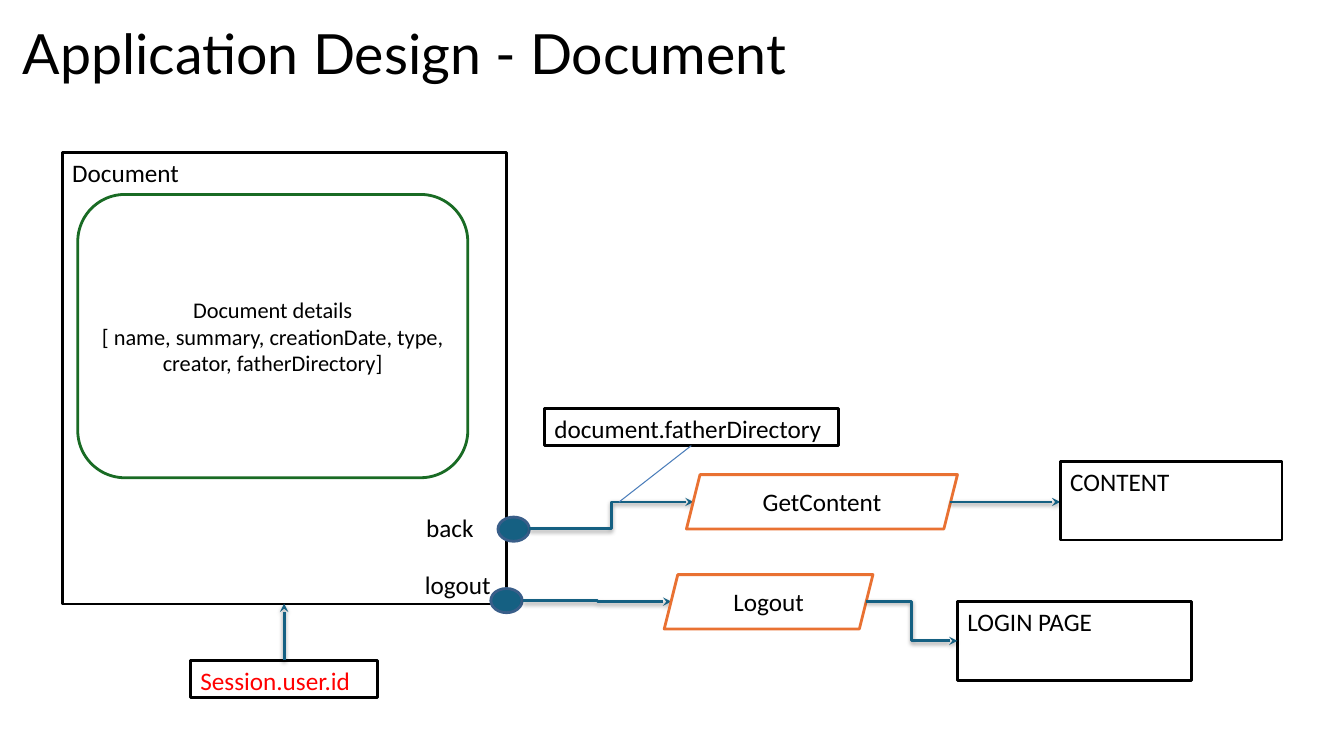
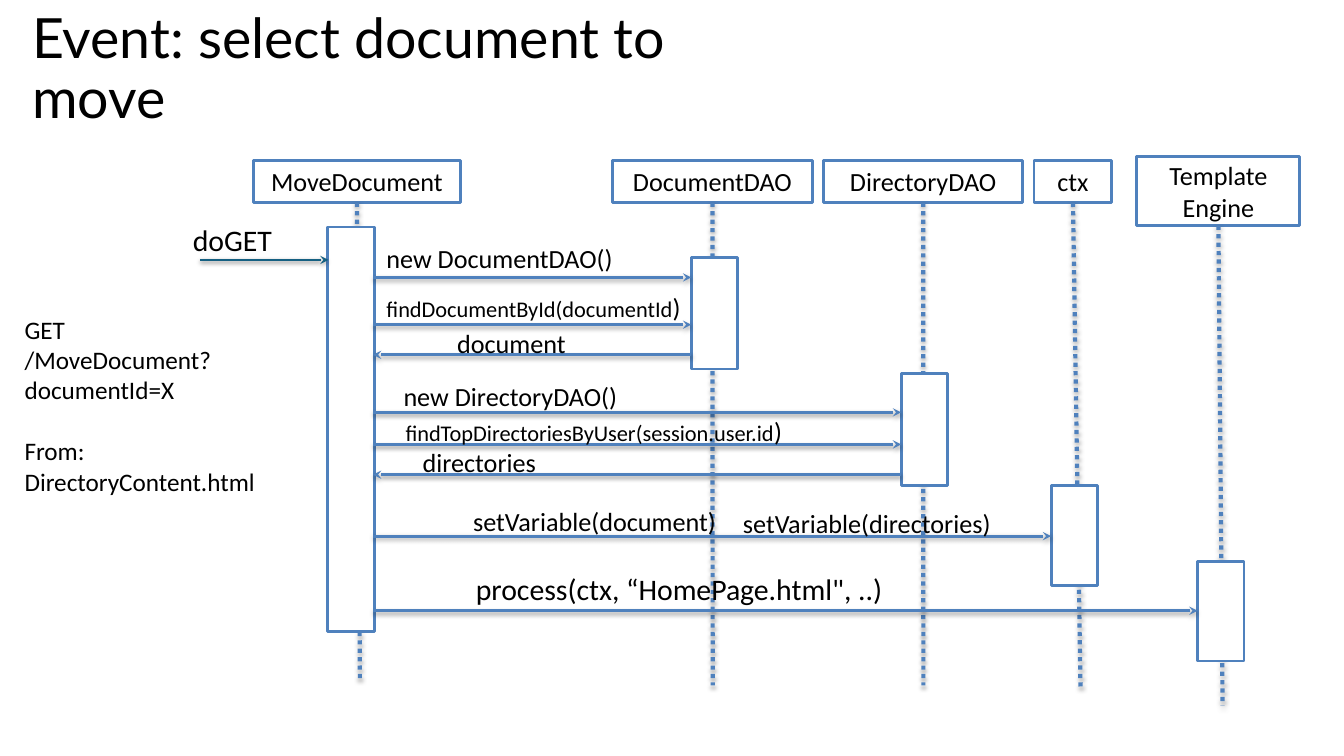
from lxml import etree
from pptx import Presentation, util as u
from pptx.dml.color import RGBColor
from pptx.enum import dml, shapes, text
from pptx.oxml.ns import qn

Cm, Pt = u.Cm, u.Pt
Kind, Join = shapes.MSO_SHAPE, shapes.MSO_CONNECTOR
Align, Anchor = text.PP_ALIGN, text.MSO_ANCHOR

HUES = {
    "black": "000000", "white": "FFFFFF", "red": "FF0000",
    "teal": "156082", "navy": "395E89", "green": "196B24",
    "orange": "E97132", "blue": "4F81BD", "note": "4A7DBA",
}


def hue(name):
    return RGBColor.from_string(HUES[name])


class Deck:
    def __init__(self):
        self.prs = Presentation()
        self.prs.slide_width, self.prs.slide_height = Cm(33.87), Cm(19.05)

    def page(self, title, box, size, pad):
        """Start a slide; size and pad are its usual text size and insets."""
        self.slide = self.prs.slides.add_slide(self.prs.slide_layouts[6])
        self.size, self.pad = size, (0.25, 0.13)
        frame = self.label(title, box, size=39.6, font="Lato")
        frame.vertical_anchor = Anchor.MIDDLE
        frame.paragraphs[0].line_spacing = 0.9
        self.pad = pad

    def put(self, frame, paras, size=None, color="black", align=Align.LEFT,
            font="Calibri", gap=0):
        """Fill a frame; a paragraph is a string or a list of (text, size).

        The gap, in points, goes before the last paragraph.
        """
        frame.word_wrap = True
        frame.margin_left = frame.margin_right = Cm(self.pad[0])
        frame.margin_top = frame.margin_bottom = Cm(self.pad[1])
        paras = [paras] if isinstance(paras, str) else paras
        for i, runs in enumerate(paras):
            para = frame.add_paragraph() if i else frame.paragraphs[0]
            para.alignment = align
            if isinstance(runs, str):
                runs = [(runs, size or self.size)]
            for words, pts in runs:
                for j, line in enumerate(words.split("\n")):
                    if j:
                        para.add_line_break()
                    run = para.add_run()
                    run.text = line
                    run.font.name, run.font.size = font, Pt(pts)
                    run.font.color.rgb = hue(color)
        para.space_before = Pt(gap)
        return frame

    def label(self, paras, box, **style):
        shape = self.slide.shapes.add_textbox(*map(Cm, box))
        return self.put(shape.text_frame, paras, **style)

    def shape(self, kind, box, line="black", fill="white"):
        shape = self.slide.shapes.add_shape(kind, *map(Cm, box))
        shape.shadow.inherit = False
        shape.fill.solid()
        shape.fill.fore_color.rgb = hue(fill)
        shape.line.color.rgb = hue(line)
        shape.line.width = Pt(2)
        return shape

    def box(self, words, box, line="black", kind=Kind.RECTANGLE, mid=False,
            **style):
        frame = self.shape(kind, box, line).text_frame
        frame.vertical_anchor = Anchor.MIDDLE if mid else Anchor.TOP
        align = Align.CENTER if mid else Align.LEFT
        self.put(frame, words, align=align, **style)

    def line(self, ends, color="teal", width=2, kind=Join.STRAIGHT,
             head=True, dots=False, shade=True):
        link = self.slide.shapes.add_connector(kind, *map(Cm, ends))
        link.line.color.rgb = hue(color)
        link.line.width = Pt(width)
        if dots:
            link.line.dash_style = dml.MSO_LINE.ROUND_DOT
        props = link._element.spPr
        if head:
            etree.SubElement(props.find(qn("a:ln")), qn("a:tailEnd"),
                             type="stealth")
        fx = etree.SubElement(props, qn("a:effectLst"))
        if shade:
            cast = etree.SubElement(fx, qn("a:outerShdw"), blurRad="40000",
                                    dist="20000", dir="5400000",
                                    rotWithShape="0")
            tone = etree.SubElement(cast, qn("a:srgbClr"), val=HUES["black"])
            etree.SubElement(tone, qn("a:alpha"), val="38000")

    def bend(self, *ends):
        self.line(ends, kind=Join.ELBOW)

    def dot(self, left, top):
        self.shape(Kind.OVAL, (left, top, 0.79, 0.61), "navy", "teal")

    def action(self, words, left, top, width):
        self.box(words, (left, top, width, 1.37), "orange",
                 Kind.PARALLELOGRAM, mid=True)


def design(deck):
    deck.page("Application Design - Document", (0.33, 0.51, 20.68, 1.83),
              18, (0.25, 0.13))
    deck.box("Document", (1.57, 3.84, 11.2, 11.38))
    deck.box("Document details\n[ name, summary, creationDate, type, "
             "creator, fatherDirectory]", (1.96, 4.9, 9.83, 7.14), "green",
             Kind.ROUNDED_RECTANGLE, mid=True, size=16)
    deck.box("Session.user.id", (4.8, 16.64, 4.72, 0.94), color="red")
    deck.line((7.16, 16.64, 7.16, 15.21))

    deck.dot(12.37, 14.83)
    deck.bend(13.18, 15.14, 16.92, 15.16)
    deck.label("logout", (10.46, 14.22, 2.31, 0.76))
    deck.box("LOGIN PAGE", (24.13, 15.16, 5.89, 1.98))
    deck.action("Logout", 16.74, 14.48, 5.26)
    deck.bend(21.82, 15.16, 24.13, 16.15)

    deck.dot(12.55, 13.03)
    deck.bend(13.34, 13.31, 17.48, 12.65)
    deck.label("back", (10.49, 12.78, 2.31, 0.76))
    deck.action("GetContent", 17.3, 11.96, 6.83)
    deck.bend(23.95, 12.65, 26.72, 12.65)
    deck.box("CONTENT", (26.72, 11.63, 5.59, 1.98))
    deck.box("document.fatherDirectory", (13.72, 10.29, 7.42, 0.94))
    deck.line((17.42, 11.23, 15.6, 12.65), "note", 0.75,
              head=False, shade=False)


def event(deck):
    deck.page("Event: select document to move", (0.56, 0.76, 19.08, 2.03),
              18.7, (0.34, 0.17))

    # name, head box, foot of the lifeline, bar left, top and height
    lives = [
        ("MoveDocument", (6.38, 4.04, 5.23, 1.07), (9.07, 17.17),
         (8.26, 5.72, 10.19)),
        ("DocumentDAO", (15.44, 4.04, 5.03, 1.07), (17.96, 17.27),
         (17.42, 6.48, 2.82)),
        ("DirectoryDAO", (20.75, 4.04, 5.03, 1.07), (23.27, 17.27),
         (22.71, 9.42, 2.82)),
        ("ctx", (26.06, 4.04, 1.96, 1.07), (27.23, 17.37),
         (26.49, 12.24, 2.51)),
        ("Template\nEngine", (28.65, 3.94, 4.11, 1.75), (30.81, 17.78),
         (30.18, 14.15, 2.51)),
    ]
    for name, head, foot, (left, top, tall) in lives:
        x, y, wide, high = head
        deck.box(name, head, "blue", mid=True)
        deck.line((x + wide / 2, y + high, *foot), "blue", 3,
                  head=False, dots=True)
        deck.shape(Kind.RECTANGLE, (left, top, 1.17, tall), "blue")

    main, doc, folder, ctx, engine = 9.4, 17.42, 22.71, 26.49, 30.18
    calls = [
        (main, doc, 6.99), (main, doc, 8.18), (doc, main, 8.94),
        (main, folder, 10.39), (main, folder, 11.2), (folder, main, 11.96),
        (main, ctx, 13.51), (main, engine, 15.39),
    ]
    for start, end, y in calls:
        deck.line((start, y, end, y), "blue")
    deck.line((5.05, 6.55, 8.28, 6.55))

    names = [
        ("new DocumentDAO()", (9.4, 5.94, 10.13, 0.86)),
        ([[("findDocumentById(documentId", 16), (")", 18.7)]],
         (9.4, 7.16, 10.13, 0.86)),
        ("document", (11.18, 8.08, 3.84, 1.04)),
        ("new DirectoryDAO()", (9.83, 9.42, 10.13, 0.86)),
        ([[("findTopDirectoriesByUser(session.user.id", 16), (")", 18.7)]],
         (9.88, 10.29, 10.59, 0.86)),
        ("directories", (10.31, 11.07, 3.84, 1.04)),
    ]
    for words, box in names:
        deck.label(words, box)
    deck.label("setVariable(document)", (11.3, 12.57, 7.37, 0.89),
               align=Align.CENTER)
    deck.label("setVariable(directories)", (18.16, 12.62, 7.37, 0.89),
               align=Align.CENTER)
    deck.label("process(ctx, “HomePage.html\", ..)",
               (9.75, 14.2, 14.73, 1.22), size=21.3, align=Align.CENTER)
    deck.label("doGET", (4.52, 5.41, 3.48, 1.02), size=21.3)
    deck.label(["GET", "/MoveDocument?documentId=X",
                "From: DirectoryContent.html"],
               (0.28, 7.75, 7.77, 5.74), size=18, gap=22)


def main():
    deck = Deck()
    design(deck)
    event(deck)
    deck.prs.save("out.pptx")


if __name__ == "__main__":
    main()
